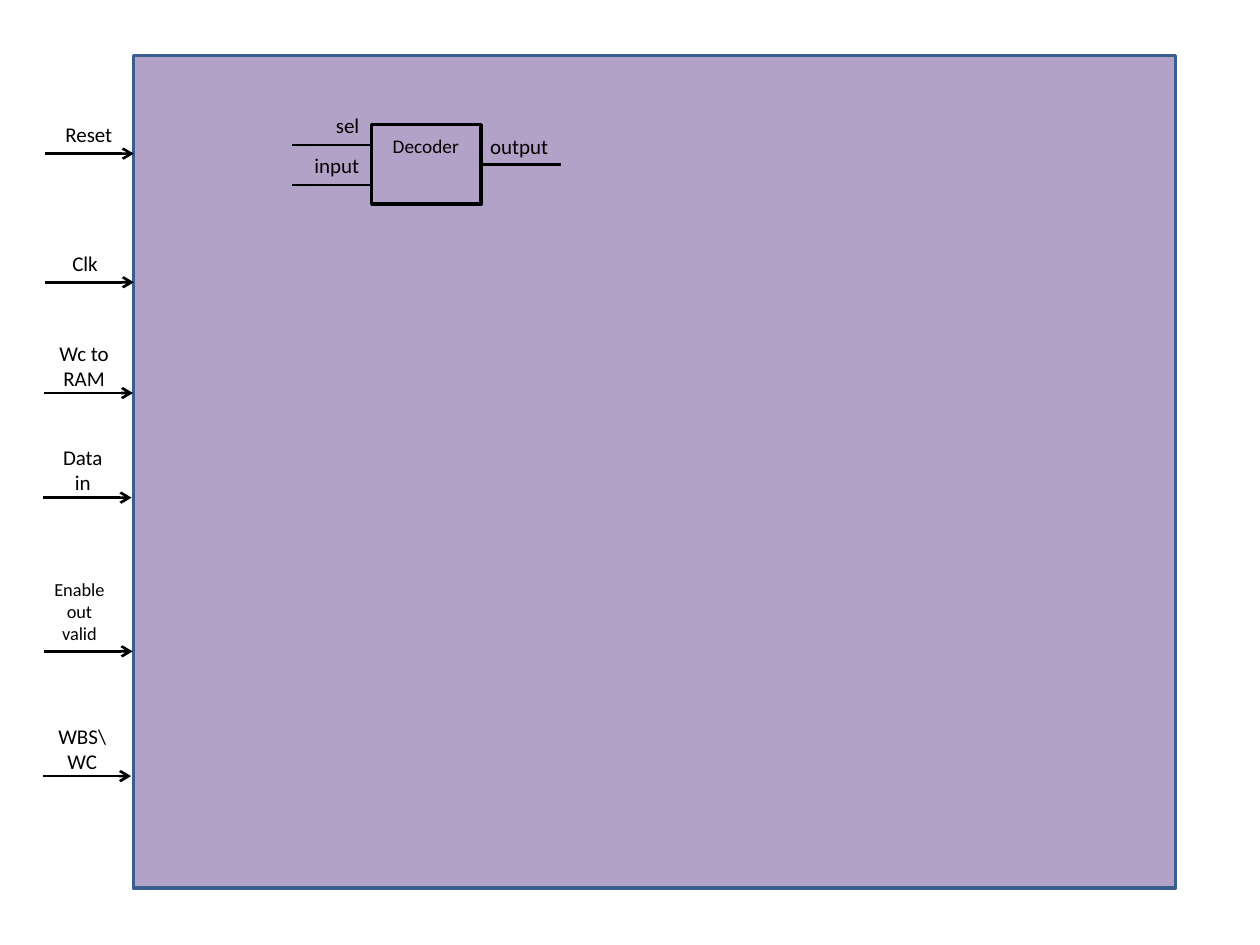
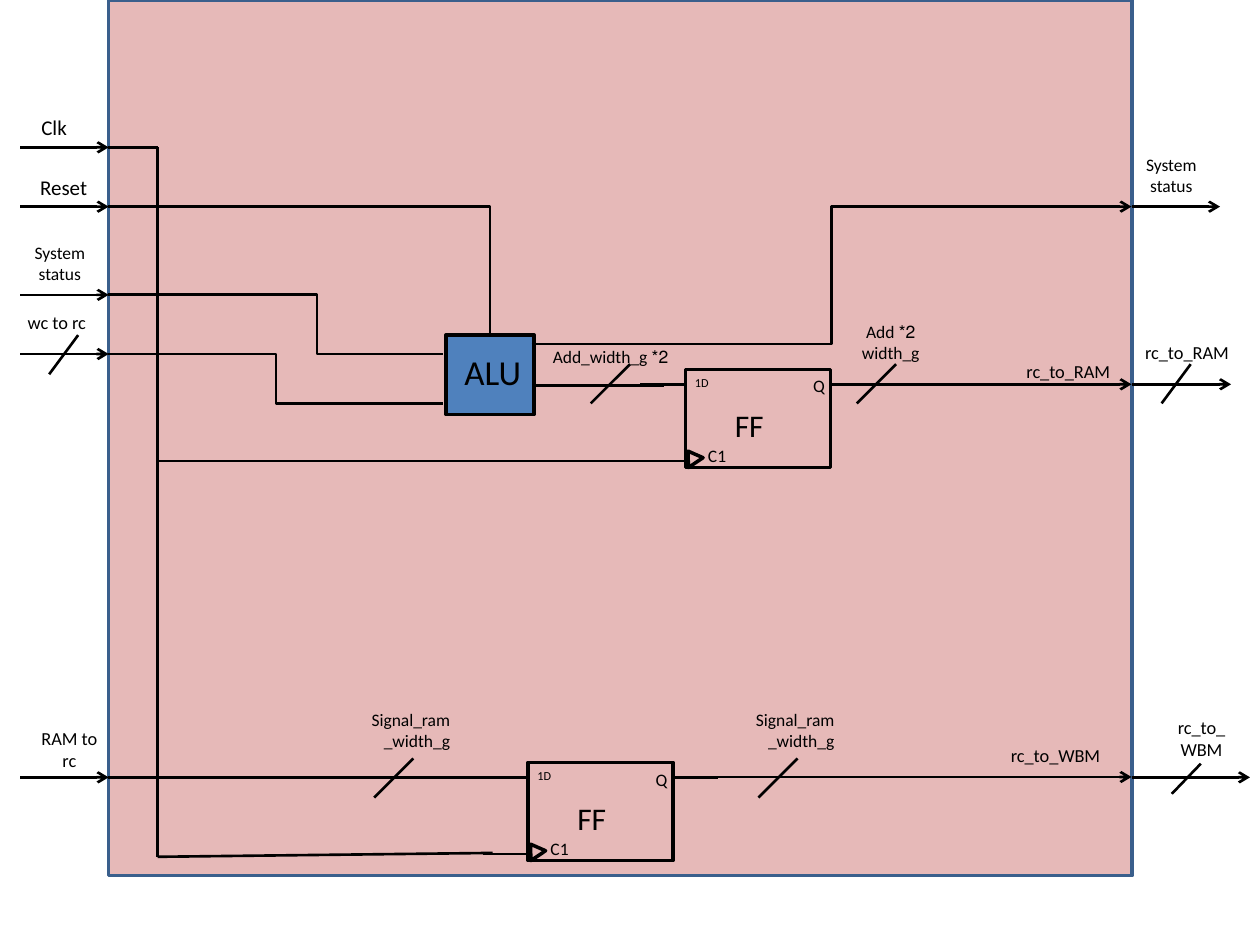
from lxml.etree import SubElement
from pptx import Presentation
from pptx.dml.color import RGBColor
from pptx.enum.shapes import MSO_CONNECTOR, MSO_SHAPE
from pptx.enum.text import MSO_AUTO_SIZE, PP_ALIGN
from pptx.oxml.ns import qn
from pptx.util import Pt

BLACK = "000000"
BORDER = "3A5F8C"
PURPLE = "B3A2C7"
PINK = "E6B9B8"
BLUE = "4F81BD"
FONT = "Calibri"
CENTER, RIGHT = PP_ALIGN.CENTER, PP_ALIGN.RIGHT
LEFT_EDGE, RIGHT_EDGE = 61.9, 646.6  # sides of the read controller block


def color(value):
    return RGBColor.from_string(value)


def add_block(s, x, y, w, h, fill=None, line=BLACK, kind=MSO_SHAPE.RECTANGLE):
    sp = s.shapes.add_shape(kind, Pt(x), Pt(y), Pt(w), Pt(h))
    sp.shadow.inherit = False
    if fill:
        sp.fill.solid()
        sp.fill.fore_color.rgb = color(fill)
    else:
        sp.fill.background()
    sp.line.color.rgb = color(line)
    sp.line.width = Pt(2)
    return sp


def add_label(s, text, x, y, w, size=12, align=CENTER, lines=1):
    """Add right-to-left text; each newline starts a paragraph."""
    height = lines * size * 1.2 + 7.2
    tf = s.shapes.add_textbox(Pt(x), Pt(y), Pt(w), Pt(height)).text_frame
    tf.word_wrap = True
    tf.auto_size = MSO_AUTO_SIZE.SHAPE_TO_FIT_TEXT
    tf.text = text
    for p in tf.paragraphs:
        p.alignment = align
        p._p.get_or_add_pPr().set("rtl", "1")
        p.font.name = FONT
        p.font.size = Pt(size)
        p.font.color.rgb = color(BLACK)


def add_wire(s, x1, y1, x2, y2, arrow=False, kind=MSO_CONNECTOR.STRAIGHT):
    wire = s.shapes.add_connector(kind, Pt(x1), Pt(y1), Pt(x2), Pt(y2))
    wire.line.color.rgb = color(BLACK)
    wire.line.width = Pt(1.5)
    if arrow:
        SubElement(wire.line._get_or_add_ln(), qn("a:tailEnd"), type="arrow")
    SubElement(wire._element.spPr, qn("a:effectLst"))
    return wire


def add_bent_wire(s, x1, y1, x2, y2, bend=0.5, arrow=False):
    """Bend at a share of the width, or turn once at the far end if bend is 1."""
    wire = add_wire(s, x1, y1, x2, y2, arrow, MSO_CONNECTOR.ELBOW)
    geom = wire._element.spPr.find(qn("a:prstGeom"))
    if bend == 1:
        geom.set("prst", "bentConnector2")
    else:
        guides = geom.find(qn("a:avLst"))
        if guides is None:
            guides = SubElement(geom, qn("a:avLst"))
        SubElement(guides, qn("a:gd"), name="adj1", fmla=f"val {round(bend * 100000)}")


def add_signal(s, text, x, y, rise, w=45.4, dx=0, length=50.6,
               size=12, align=CENTER, lines=1):
    """Add an arrow starting at (x, y) with its label 'rise' above it."""
    add_wire(s, x, y, x + length, y, arrow=True)
    add_label(s, text, x + dx, y - rise, w, size, align, lines)


def add_bus_slash(s, x, y, half_w=11.2, half_h=11.2):
    add_wire(s, x + half_w, y - half_h, x - half_w, y + half_h)


def add_flip_flop(s, x, y):
    w, stub, data_y, clock_y = 82.8, 25.9, y + 8.8, y + 52.4
    add_block(s, x, y, w, 56.2)
    clock = add_block(s, x - 1.4, y + 46.1, 10.1, 7.9, kind=MSO_SHAPE.ISOSCELES_TRIANGLE)
    clock.rotation = 326.2
    add_wire(s, x - stub, clock_y, x, clock_y)
    add_wire(s, x - stub, data_y, x, data_y)
    add_wire(s, x + w, data_y, x + w + stub, data_y)
    add_label(s, "FF", x + 18.7, y + 17.3, 33.1, 18, RIGHT)
    add_label(s, "C1", x + 2.2, y + 39.6, 31.7, 10)
    add_label(s, "1D", x - 5.8, y, 30.2, 7)
    add_label(s, "Q", x + 65.5, y, 21.6, 10)


def add_decoder(s):
    decoder = add_block(s, 212.4, 71.3, 62.6, 45.4)
    add_label(s, "Decoder", 201.6, 73.4, 67.7, 11, RIGHT)
    for text, y in (("sel", 82.8), ("input", 105.8)):
        add_wire(s, 167, y, 212.4, y)
        add_label(s, text, 167, y - 22, 45.4, align=RIGHT)
    output = add_wire(s, 275, 94, 320.4, 94)
    output.begin_connect(decoder, 3)
    add_label(s, "output", 269.3, 72.7, 51.1, align=RIGHT)


def build_decoder_slide(s):
    add_block(s, 76.3, 31.7, 595.4, 475.9, PURPLE, BORDER)
    add_signal(s, "Reset", 25.9, 87.8, 21.6, align=RIGHT)
    add_signal(s, "Clk", 25.9, 161.3, 21.6)
    for text, x, y in (("Wc to RAM", 25.4, 224.6), ("Data in", 24.6, 284.4),
                       ("WBS\\WC", 24.3, 443.5)):
        add_signal(s, text, x, y, 33.8, lines=2)
    add_signal(s, "Enable out valid", 25.2, 372.2, 45.4, w=50.4, dx=-5, size=10.5, lines=3)
    add_decoder(s)


def build_read_controller_slide(s):
    add_block(s, LEFT_EDGE, 0, 585, 500.4, PINK, BORDER)
    add_block(s, 254.9, 191.5, 50.4, 45.4, BLUE)
    add_label(s, "ALU", 253.4, 196.6, 56.2, 20)
    add_flip_flop(s, 391.7, 211)
    add_flip_flop(s, 301.7, 435.6)

    x = 11.5
    add_signal(s, "Clk", x, 84.2, 22, w=33.8, align=RIGHT)
    add_signal(s, "Reset", x, 118.1, 21.6, align=RIGHT)
    add_signal(s, "System\nstatus", x, 168.5, 33.8, size=10, lines=2)
    add_signal(s, "wc to rc", x, 202.3, 28, w=50.4, dx=-5.7, size=10.5, align=RIGHT)
    add_signal(s, "RAM to rc", x, 444.2, 32.4, w=56.2, size=10.5, lines=2)

    x = RIGHT_EDGE
    add_signal(s, "System\nstatus", x, 118.1, 33.8, size=10, lines=2)
    add_signal(s, "rc_to_RAM", x, 219.6, 28, w=67.7, dx=-5, length=56.9,
               size=10.5, align=RIGHT)
    add_signal(s, "rc_to_WBM", x, 444.2, 38.8, dx=17.3, length=67.7, size=10.5, lines=2)

    add_bent_wire(s, LEFT_EDGE, 118.1, 280.1, 191.5, bend=1)
    add_bent_wire(s, LEFT_EDGE, 168.5, 253.4, 202.3, bend=0.623)
    add_bent_wire(s, LEFT_EDGE, 202.3, 253.4, 230.4)
    add_bent_wire(s, 303.8, 196.6, RIGHT_EDGE, 118.1, arrow=True)

    clock_x = 90
    add_wire(s, LEFT_EDGE, 84.2, clock_x, 84.2)
    add_wire(s, clock_x, 84.2, clock_x, 489.6)
    add_wire(s, clock_x, 489.6, 281.5, 487.4)
    add_wire(s, clock_x, 263.5, 365.8, 263.5)
    add_wire(s, 306, 220.3, 379.4, 220.3)
    add_wire(s, LEFT_EDGE, 444.2, 281.5, 444.2)
    for start, y in ((500.4, 219.6), (410.4, 444)):
        add_wire(s, start, y, RIGHT_EDGE, y, arrow=True)

    for x, y in ((348.8, 219.3), (500.8, 219.3), (225, 444.6), (444.6, 444.6)):
        add_bus_slash(s, x, y)
    for x, y, half_h in ((36.4, 202.7, 11.2), (672.1, 219.3, 11.2), (677.9, 445, 8.6)):
        add_bus_slash(s, x, y, 8.3, half_h)

    add_label(s, "rc_to_RAM", 573.8, 202.3, 67.7, 10.5, RIGHT)
    add_label(s, "rc_to_WBM", 568.1, 421.9, 67.7, 10.5, RIGHT)
    add_label(s, "2* Add_width_g", 298.1, 194.4, 101.5, 10)
    add_label(s, "2* Add\nwidth_g", 483.8, 180, 50.4, 10, lines=2)
    for x in (202.3, 421.9):
        add_label(s, "Signal_ram_width_g", x, 401.8, 61.9, 10, RIGHT, lines=2)


def main():
    prs = Presentation()
    prs.slide_width, prs.slide_height = Pt(720), Pt(540)
    blank = prs.slide_layouts[6]
    for build in (build_decoder_slide, build_read_controller_slide):
        build(prs.slides.add_slide(blank))
    prs.save("out.pptx")


if __name__ == "__main__":
    main()
